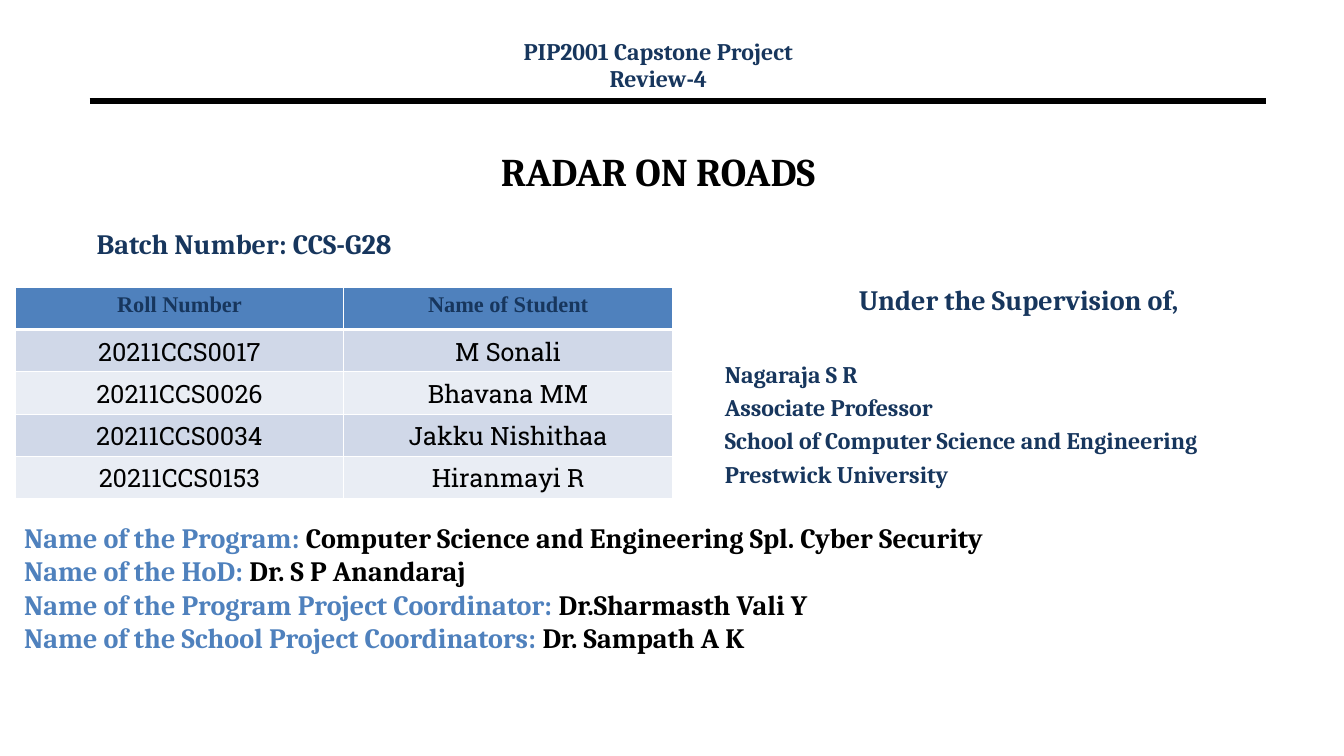
from lxml import etree
from pptx import Presentation
from pptx.dml.color import RGBColor
from pptx.enum.shapes import MSO_CONNECTOR
from pptx.enum.text import MSO_ANCHOR, PP_ALIGN
from pptx.oxml.ns import qn
from pptx.util import Emu, Pt

PX = 9144  # EMU per px, 100 px to the inch
BLACK = RGBColor(0x00, 0x00, 0x00)
WHITE = RGBColor(0xFF, 0xFF, 0xFF)
NAVY = RGBColor(0x17, 0x36, 0x5D)
BLUE = RGBColor(0x4F, 0x81, 0xBD)
BAND_DARK = RGBColor(0xD0, 0xD8, 0xE8)
BAND_LIGHT = RGBColor(0xE9, 0xED, 0xF4)

STUDENTS = [
    ("Roll Number", "Name of Student"),
    ("20211CCS0017", "M Sonali"),
    ("20211CCS0026", "Bhavana MM"),
    ("20211CCS0034", "Jakku Nishithaa"),
    ("20211CCS0153", "Hiranmayi R"),
]
SUPERVISOR = [
    "Nagaraja S R",
    "Associate Professor",
    "School of Computer Science and Engineering",
    "Prestwick University",
]
ROLES = [
    ("Name of the Program: ", "Computer Science and Engineering Spl. Cyber Security"),
    ("Name of the HoD: ", "Dr. S P Anandaraj"),
    ("Name of the Program Project Coordinator: ", "Dr.Sharmasth Vali Y"),
    ("Name of the School Project Coordinators: ", "Dr. Sampath A K"),
]


def px(*lengths):
    return [Emu(length * PX) for length in lengths]


def add_run(paragraph, text, size, color, font="Cambria", bold=True):
    run = paragraph.add_run()
    run.text = text
    for name, value in {"name": font, "size": Pt(size), "bold": bold}.items():
        setattr(run.font, name, value)
    run.font.color.rgb = color


def add_text(slide, box, paragraphs, anchor=MSO_ANCHOR.TOP):
    """Each paragraph is (list of (text, size, colour), dict of paragraph format)."""
    frame = slide.shapes.add_textbox(*px(*box)).text_frame
    frame.word_wrap = True
    frame.vertical_anchor = anchor
    for index, (runs, layout) in enumerate(paragraphs):
        paragraph = frame.paragraphs[0] if index == 0 else frame.add_paragraph()
        for name, value in layout.items():
            setattr(paragraph, name, value)
        for run in runs:
            add_run(paragraph, *run)


def add_header(slide, box):
    left, top, width, height = box
    rule_y = top + 63
    rule = slide.shapes.add_connector(
        MSO_CONNECTOR.STRAIGHT, *px(left - 347, rule_y, left + 820, rule_y))
    rule.line.color.rgb = BLACK
    rule.line.width = Pt(4.5)
    etree.SubElement(rule._element.spPr, qn("a:effectLst"))
    centred = {"alignment": PP_ALIGN.CENTER, "line_spacing": 0.8}
    add_text(slide, box, [
        ([("PIP2001 Capstone Project", 17, NAVY)], centred),
        ([("Review-4", 17, NAVY)], {**centred, "space_before": Pt(3.1)}),
    ])


def add_title(slide, box):
    add_text(slide, box, [([("RADAR ON ROADS", 28, BLACK)],
                           {"alignment": PP_ALIGN.CENTER})], MSO_ANCHOR.MIDDLE)


def add_batch(slide, box):
    add_text(slide, box, [([("Batch Number: CCS-G28", 20, NAVY)], {})])


def set_borders(cell, bottom_width):
    properties = cell._tc.get_or_add_tcPr()
    widths = {"a:lnL": 1, "a:lnR": 1, "a:lnT": 1, "a:lnB": bottom_width}
    for position, (tag, width) in enumerate(widths.items()):
        border = etree.Element(qn(tag), w=str(Pt(width)))
        fill = etree.SubElement(border, qn("a:solidFill"))
        etree.SubElement(fill, qn("a:srgbClr"), val=str(WHITE))
        properties.insert(position, border)


def add_students(slide, box):
    table = slide.shapes.add_table(len(STUDENTS), 2, *px(*box)).table
    for row, student in enumerate(STUDENTS):
        header = row == 0
        if header:
            fill, text_style = BLUE, (16, NAVY, "Times New Roman", True)
        else:
            fill = BAND_DARK if row % 2 else BAND_LIGHT
            text_style = (18, BLACK, "Roboto Slab", False)
        for column, text in enumerate(student):
            cell = table.cell(row, column)
            cell.fill.solid()
            cell.fill.fore_color.rgb = fill
            set_borders(cell, 3 if header else 1)
            paragraph = cell.text_frame.paragraphs[0]
            paragraph.alignment = PP_ALIGN.CENTER
            add_run(paragraph, text, *text_style)


def add_supervision(slide, box):
    heading = ([("Under the Supervision of,", 20, NAVY)],
               {"alignment": PP_ALIGN.CENTER})
    details = [([(line, 17, NAVY)], {"space_before": Pt(3.4 if index else 31)})
               for index, line in enumerate(SUPERVISOR)]
    add_text(slide, box, [heading, *details])


def add_roles(slide, box):
    add_text(slide, box, [([(role, 20, BLUE), (holder, 20, BLACK)], {})
                          for role, holder in ROLES])


def main():
    presentation = Presentation()
    presentation.slide_width, presentation.slide_height = px(1333, 750)
    slide = presentation.slides.add_slide(presentation.slide_layouts[6])
    add_header(slide, (436, 37, 434, 60))
    add_title(slide, (86, 117, 1133, 105))
    add_batch(slide, (86, 220, 434, 60))
    add_students(slide, (15, 285, 652, 210))
    add_supervision(slide, (709, 275, 603, 221))
    add_roles(slide, (14, 511, 1319, 171))
    presentation.save("out.pptx")


if __name__ == "__main__":
    main()
